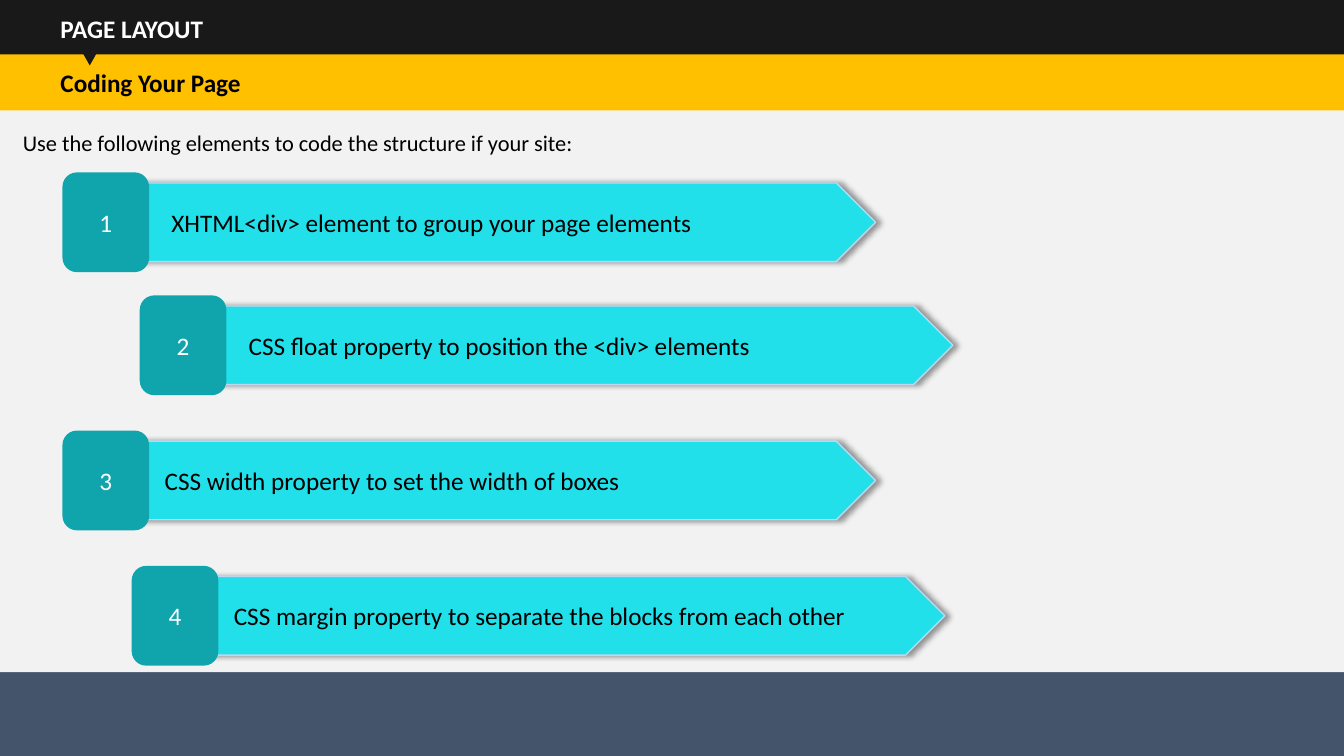
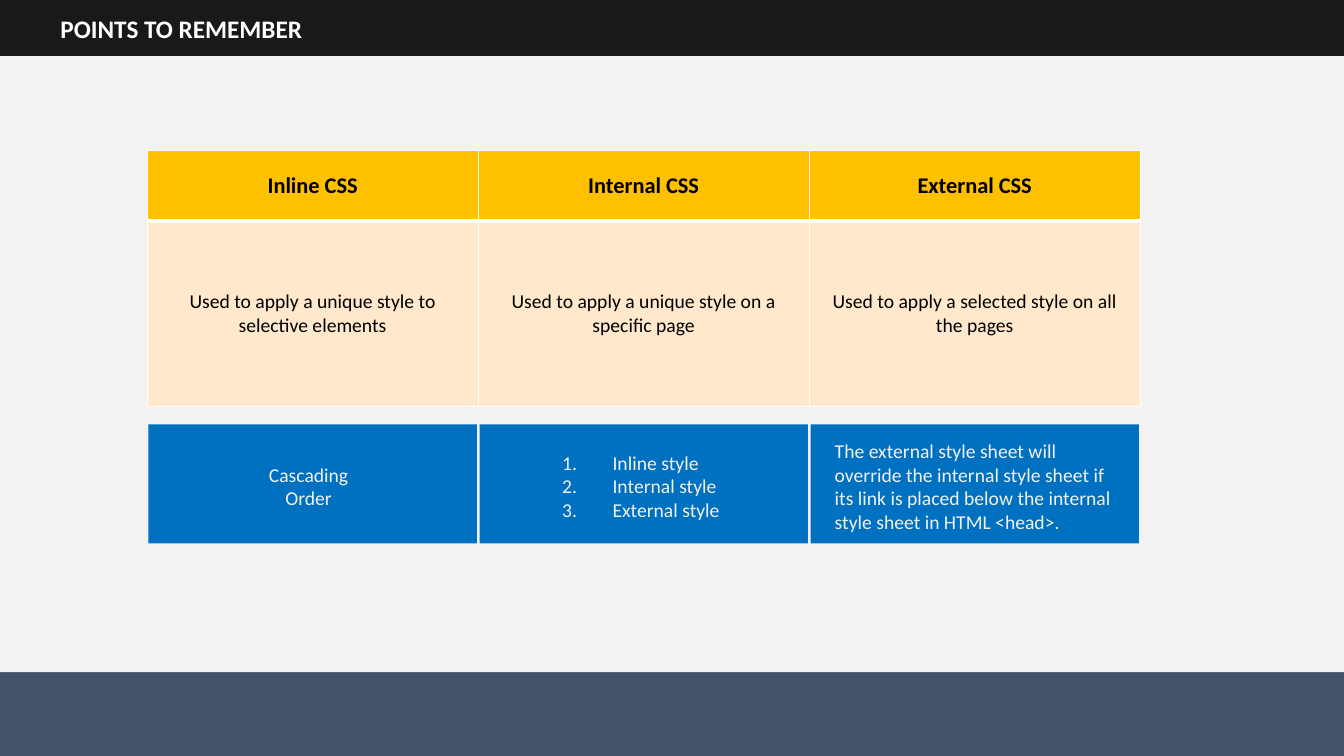
"""Build two slides on page layout and kinds of CSS."""
from dataclasses import dataclass

from lxml import etree
from pptx import Presentation
from pptx.dml.color import RGBColor
from pptx.enum.shapes import MSO_SHAPE
from pptx.enum.text import MSO_ANCHOR, PP_ALIGN
from pptx.oxml.ns import qn
from pptx.util import Inches, Pt

RECTANGLE = MSO_SHAPE.RECTANGLE
ROUNDED = MSO_SHAPE.ROUNDED_RECTANGLE
ARROW = MSO_SHAPE.PENTAGON
TRIANGLE = MSO_SHAPE.ISOSCELES_TRIANGLE
LEFT, CENTER = PP_ALIGN.LEFT, PP_ALIGN.CENTER
MIDDLE = MSO_ANCHOR.MIDDLE

SLIDE_WIDTH, SLIDE_HEIGHT = Inches(13.33), Inches(7.5)
BODY_HEIGHT = 88.9
BAND_HEIGHT = 7.4
BAND_INSET = 4.5
BADGE_WIDTH, BADGE_HEIGHT = 6.45, 13.2
ARROW_WIDTH, ARROW_HEIGHT = 56, 10.4
GRID_LEFT, GRID_COLUMN = 10.95, 24.63
PANEL_GAP = 0.2

STEPS = (
    (4.65, 22.8, 8.1, "XHTML<div> element to group your page elements"),
    (10.4, 39.07, 8.1, "CSS float property to position the <div> elements"),
    (4.65, 56.95, 7.6, "CSS width property to set the width of boxes"),
    (9.8, 74.85, 7.6, "CSS margin property to separate the blocks from each other"),
)
CSS_KINDS = (
    ("Inline CSS", "Used to apply a unique style to selective elements"),
    ("Internal CSS", "Used to apply a unique style on a specific page"),
    ("External CSS", "Used to apply a selected style on all the pages"),
)
ORDER_LABEL = "Cascading\nOrder"
ORDER_LIST = "Inline style\nInternal style\nExternal style"
ORDER_NOTE = ("The external style sheet will override the internal style sheet "
              "if its link is placed below the internal style sheet in HTML <head>.")


@dataclass(frozen=True)
class Theme:
    """Colours and type sizes shared by all pages."""
    font: str = "Calibri"
    dark: str = "191919"
    accent: str = "FFC000"
    paper: str = "F2F2F2"
    footer: str = "44546A"
    arrow: str = "22E0EA"
    arrow_edge: str = "BDD7EE"
    badge: str = "10A5AC"
    panel: str = "0070C0"
    cell: str = "FFE8CC"
    white: str = "FFFFFF"
    black: str = "000000"
    heading: int = 18
    lead: int = 16
    body: int = 14


THEME = Theme()


def across(share):
    """Convert a percentage of the slide width to a length."""
    return int(SLIDE_WIDTH * share / 100)


def down(share):
    """Convert a percentage of the slide height to a length."""
    return int(SLIDE_HEIGHT * share / 100)


def place(left, top, width, height):
    """Convert a box in shares of the slide to lengths."""
    return across(left), down(top), across(width), down(height)


def write(frame, text, size, color, bold=False, align=LEFT):
    """Fill a text frame and format every run."""
    frame.text = text
    frame.word_wrap = True
    frame.vertical_anchor = MIDDLE
    for para in frame.paragraphs:
        para.alignment = align
        for span in para.runs:
            span.font.name = THEME.font
            span.font.size = Pt(size)
            span.font.bold = bold
            span.font.color.rgb = RGBColor.from_string(color)


def set_insets(frame, left=0, right=0, top=0):
    """Set text insets in shares of the slide."""
    frame.margin_left, frame.margin_right = across(left), across(right)
    frame.margin_top, frame.margin_bottom = down(top), 0


def add_block(page, kind, box, color):
    """Add a flat filled shape without line or shadow."""
    shape = page.shapes.add_shape(kind, *place(*box))
    shape.shadow.inherit = False
    shape.fill.solid()
    shape.fill.fore_color.rgb = RGBColor.from_string(color)
    shape.line.fill.background()
    return shape


def add_label(page, box, text, size):
    """Add a text box whose text starts at its left edge."""
    frame = page.shapes.add_textbox(*place(*box)).text_frame
    set_insets(frame)
    write(frame, text, size, THEME.black)


def add_band(page, top, text, fill, color):
    """Add a full-width band with a bold heading."""
    frame = add_block(page, RECTANGLE, (0, top, 100, BAND_HEIGHT), fill).text_frame
    set_insets(frame, BAND_INSET)
    write(frame, text, THEME.heading, color, bold=True)


def add_page(deck, title):
    """Add a blank page with its backdrop, footer and title."""
    page = deck.slides.add_slide(deck.slide_layouts[6])
    add_block(page, RECTANGLE, (0, BODY_HEIGHT, 100, 100 - BODY_HEIGHT), THEME.footer)
    add_block(page, RECTANGLE, (0, 0, 100, BODY_HEIGHT), THEME.paper)
    add_band(page, 0, title, THEME.dark, THEME.white)
    return page


def cast_shadow(shape):
    """Give a shape a soft shadow to the right."""
    effects = shape._element.spPr.find(qn("a:effectLst"))
    shadow = etree.SubElement(effects, qn("a:outerShdw"), blurRad=str(Pt(4)),
                              dist=str(Pt(3)), dir="0", rotWithShape="0")
    color = etree.SubElement(shadow, qn("a:srgbClr"), val=THEME.black)
    etree.SubElement(color, qn("a:alpha"), val="40000")


def add_step(page, number, left, top, text_offset, text):
    """Add a numbered badge with its arrow and wording."""
    arrow_top = top + (BADGE_HEIGHT - ARROW_HEIGHT) / 2
    arrow_left = left + 4.5
    arrow = add_block(page, ARROW, (arrow_left, arrow_top, ARROW_WIDTH, ARROW_HEIGHT),
                      THEME.arrow)
    arrow.line.color.rgb = RGBColor.from_string(THEME.arrow_edge)
    arrow.line.width = Pt(1)
    cast_shadow(arrow)
    badge = add_block(page, ROUNDED, (left, top, BADGE_WIDTH, BADGE_HEIGHT), THEME.badge)
    write(badge.text_frame, str(number), THEME.heading, THEME.white, align=CENTER)
    add_label(page, (left + text_offset, arrow_top, 51, ARROW_HEIGHT), text, THEME.heading)


def add_panel(page, column, text, align, left=0, right=0):
    """Add a panel below one column of the table."""
    box = (GRID_LEFT + column * GRID_COLUMN + PANEL_GAP / 2, 56.13,
           GRID_COLUMN - PANEL_GAP, 15.75)
    frame = add_block(page, RECTANGLE, box, THEME.panel).text_frame
    set_insets(frame, left, right, top=0.6)
    write(frame, text, THEME.body, THEME.paper, align=align)
    return frame


def number_paragraphs(frame):
    """Number the paragraphs with a hanging indent."""
    for para in frame.paragraphs:
        props = para._p.get_or_add_pPr()
        props.set("marL", str(Inches(0.5)))
        props.set("indent", str(-Inches(0.5)))
        etree.SubElement(props, qn("a:buFont"), typeface="+mj-lt")
        etree.SubElement(props, qn("a:buAutoNum"), type="arabicPeriod")


def style_cell(cell, fill, top_width, bottom_width):
    """Set the white borders and the fill of a cell."""
    props = cell._tc.get_or_add_tcPr()
    for side, width in (("L", 1), ("R", 1), ("T", top_width), ("B", bottom_width)):
        line = etree.SubElement(props, qn(f"a:ln{side}"), w=str(Pt(width)))
        solid = etree.SubElement(line, qn("a:solidFill"))
        etree.SubElement(solid, qn("a:srgbClr"), val=THEME.white)
    cell.fill.solid()
    cell.fill.fore_color.rgb = RGBColor.from_string(fill)
    cell.vertical_anchor = MIDDLE


def add_kinds_table(page):
    """Add the table that compares the kinds of CSS."""
    row_heights = (9.33, 24.53)
    box = (GRID_LEFT, 19.9, GRID_COLUMN * len(CSS_KINDS), sum(row_heights))
    table = page.shapes.add_table(2, len(CSS_KINDS), *place(*box)).table
    table.horz_banding = False
    for row, height in zip(table.rows, row_heights):
        row.height = down(height)
    for column, (name, use) in enumerate(CSS_KINDS):
        table.columns[column].width = across(GRID_COLUMN)
        head, body = table.cell(0, column), table.cell(1, column)
        style_cell(head, THEME.accent, 1, 3)
        style_cell(body, THEME.cell, 3, 1)
        write(head.text_frame, name, THEME.lead, THEME.black, bold=True, align=CENTER)
        write(body.text_frame, use, THEME.body, THEME.black, align=CENTER)


def build_coding_page(deck):
    """Build the page of numbered coding steps."""
    page = add_page(deck, "PAGE LAYOUT")
    add_band(page, 7.2, "Coding Your Page", THEME.accent, THEME.black)
    add_label(page, (1.7, 16.4, 47, 4.9),
              "Use the following elements to code the structure if your site:", THEME.lead)
    for number, step in enumerate(STEPS, 1):
        add_step(page, number, *step)
    pointer = add_block(page, TRIANGLE, (6, 6.53, 1.35, 2.13), THEME.dark)
    pointer.rotation = 180


def build_summary_page(deck):
    """Build the page of points to remember."""
    page = add_page(deck, "POINTS TO REMEMBER")
    add_kinds_table(page)
    add_panel(page, 0, ORDER_LABEL, CENTER, right=0.6)
    number_paragraphs(add_panel(page, 1, ORDER_LIST, LEFT, left=6.15))
    add_panel(page, 2, ORDER_NOTE, LEFT, left=1.8, right=1.5)


def main():
    """Build and save the deck."""
    deck = Presentation()
    deck.slide_width, deck.slide_height = SLIDE_WIDTH, SLIDE_HEIGHT
    build_coding_page(deck)
    build_summary_page(deck)
    deck.save("out.pptx")


if __name__ == "__main__":
    main()
